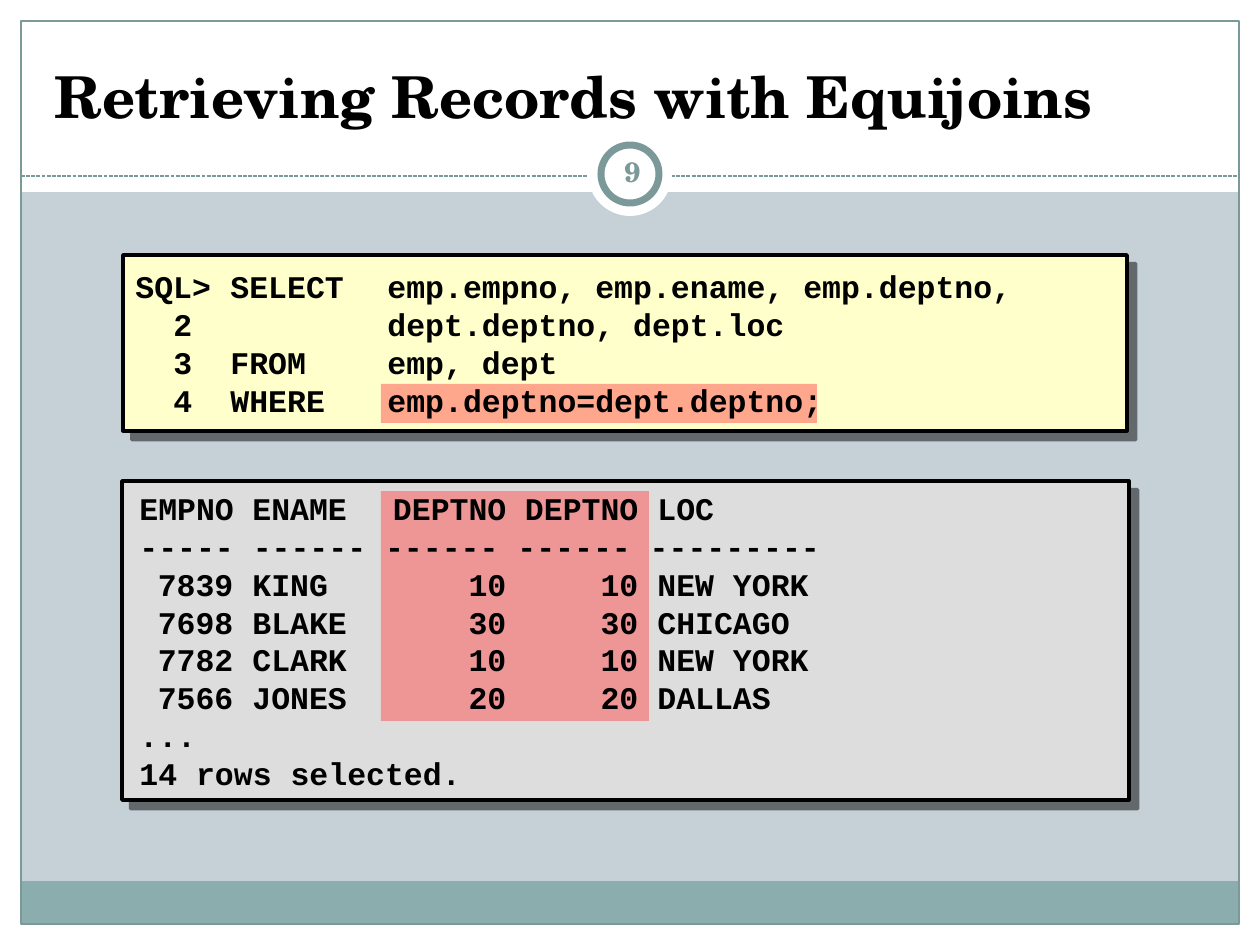
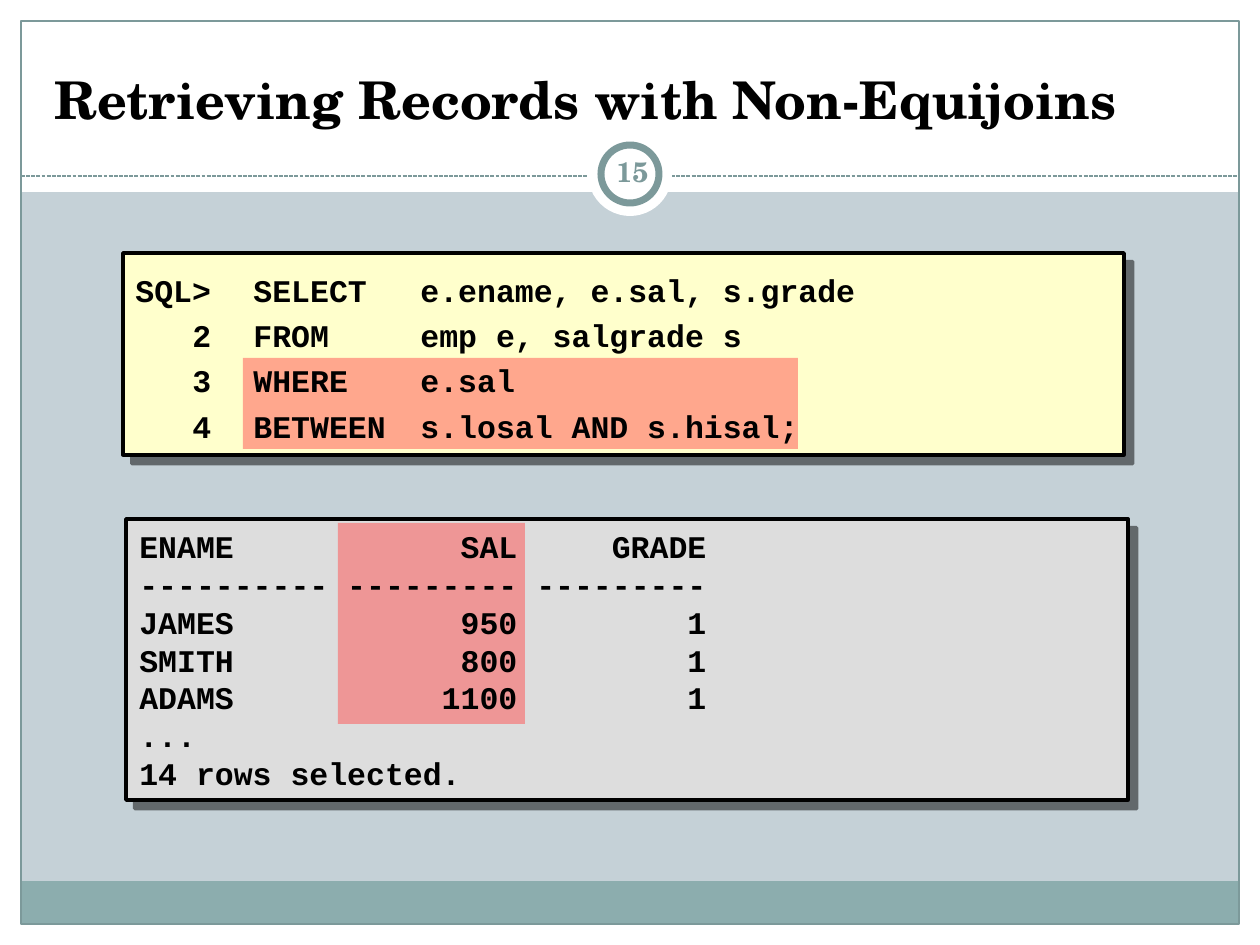
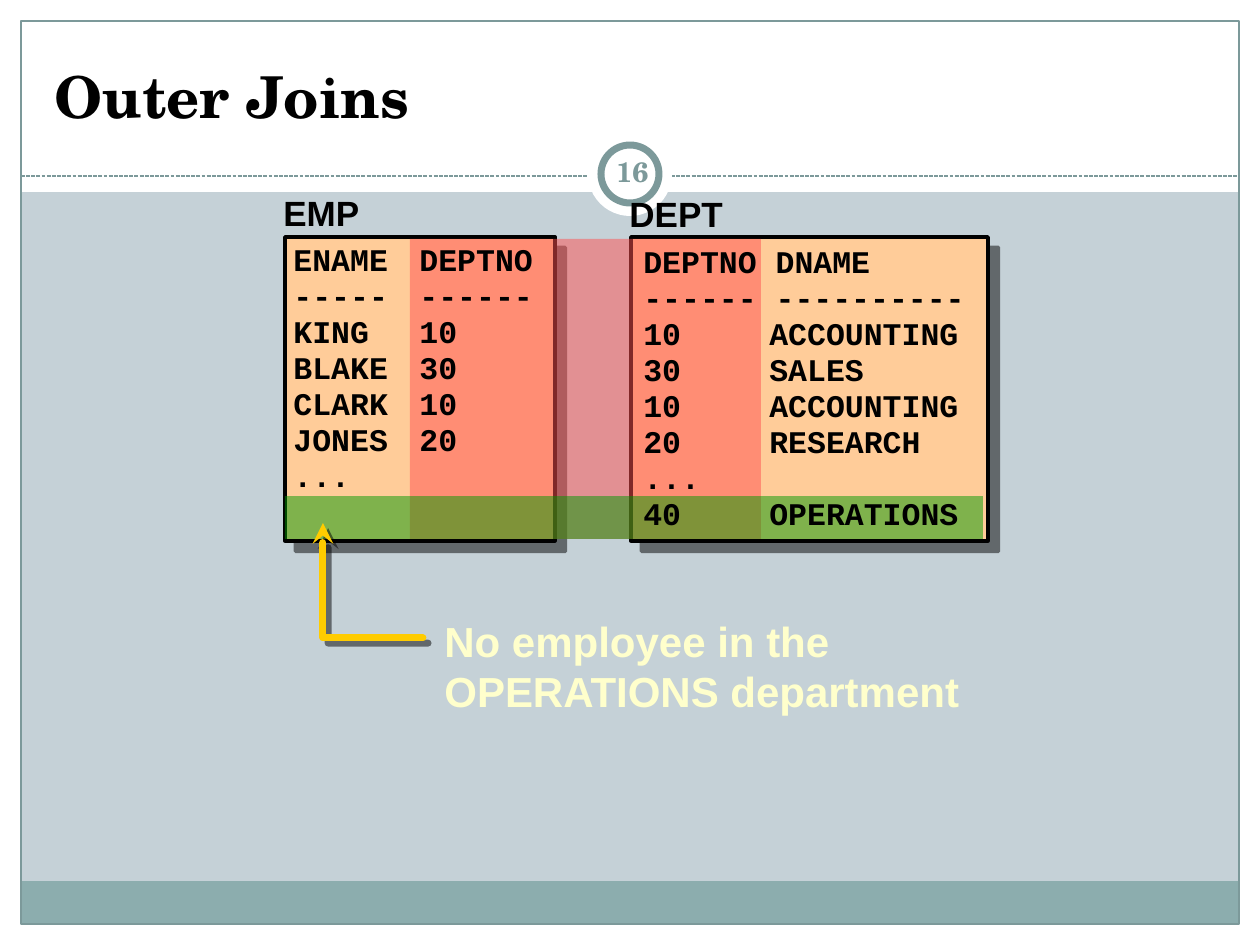
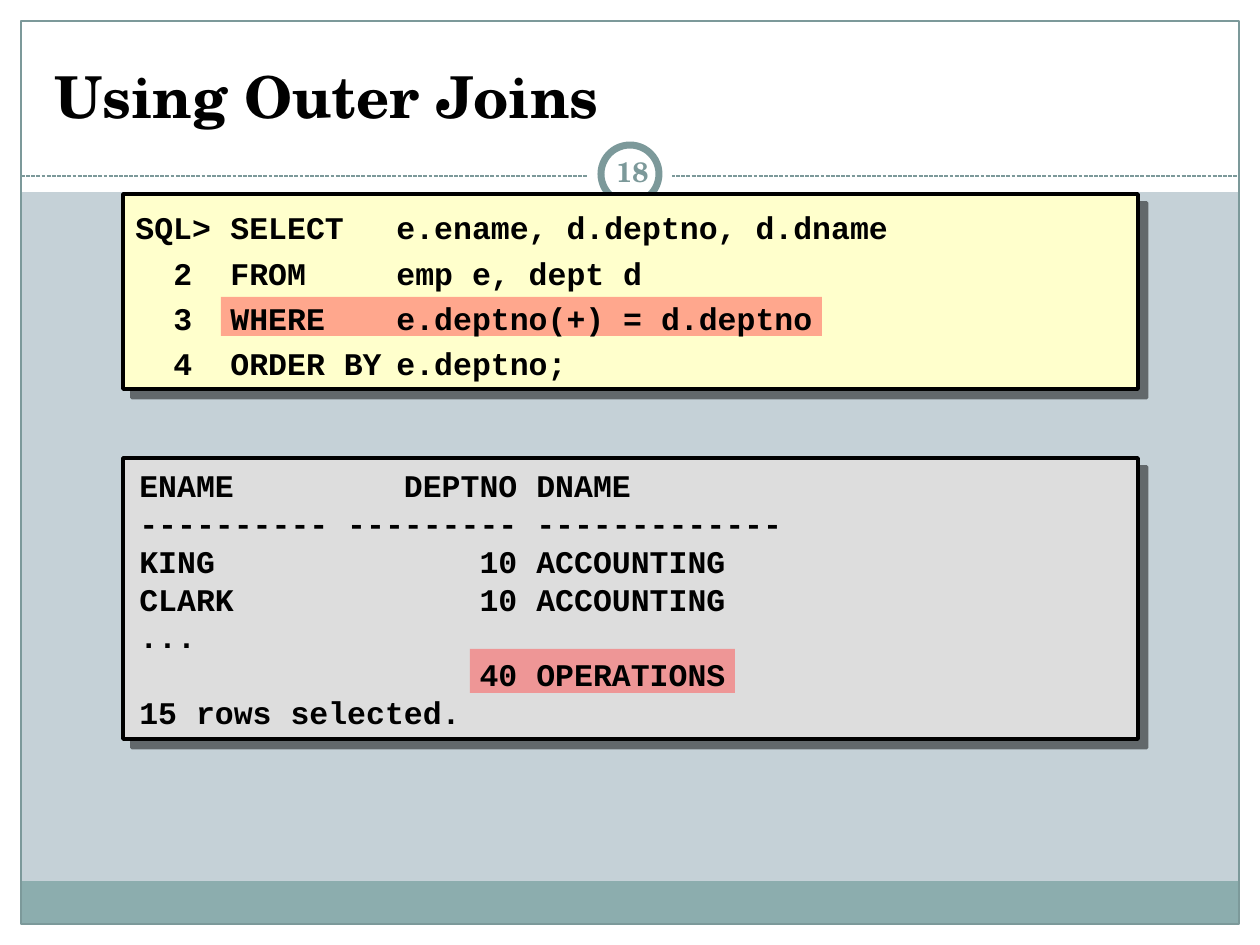
from lxml.etree import SubElement
from pptx import Presentation
from pptx.dml.color import RGBColor
from pptx.enum.dml import MSO_LINE
from pptx.enum.shapes import MSO_CONNECTOR, MSO_SHAPE
from pptx.enum.text import MSO_ANCHOR as ANCHOR, PP_ALIGN as ALIGN
from pptx.oxml.ns import qn
from pptx.util import Emu, Pt

WIDTH, HEIGHT = 1260, 945
EMU_PER_PX = 914400 / 126
MARGIN = 21
HEADER_BOTTOM = 192
PADDING = 12.6

SERIF, SANS, MONO = "TeX Gyre Schola", "Arial", "Courier New"
BLACK, WHITE = "000000", "FFFFFF"
BACKDROP, BAND, ACCENT = "C5D1D7", "8CADAE", "7C999A"
CODE_FILL, RESULT_FILL, TABLE_FILL = "FFFFCC", "DDDDDD", "FFCC99"
RED, GREEN, GOLD = "FF5050", "009900", "FFCC00"


def px(length):
    """Turn pixels into EMU."""
    return Emu(round(length * EMU_PER_PX))


def colour(hex_code):
    """Turn a hex string into a colour."""
    return RGBColor.from_string(hex_code)


def set_line(line, hex_code, width):
    """Colour a line and set its width in points."""
    line.color.rgb = colour(hex_code)
    line.width = Pt(width)


def set_shadow(shape, distance):
    """Give a shape a hard shadow to the lower right, or none at 0."""
    shape.shadow.inherit = False
    if distance:
        effects = shape._element.spPr.find(qn("a:effectLst"))
        shadow = SubElement(effects, qn("a:outerShdw"), blurRad="0",
                            dist=str(Pt(distance)), dir="2700000",
                            algn="ctr", rotWithShape="0")
        black = SubElement(shadow, qn("a:srgbClr"), val=BLACK)
        SubElement(black, qn("a:alpha"), val="50000")


def add_block(slide, box, fill=None, line=None, width=1, shadow=0,
              alpha=None, kind=MSO_SHAPE.RECTANGLE):
    """Draw a preset shape; box is left, top, width, height."""
    block = slide.shapes.add_shape(kind, *map(px, box))
    if fill:
        block.fill.solid()
        block.fill.fore_color.rgb = colour(fill)
        if alpha:
            tint = block._element.spPr.find(qn("a:solidFill"))[0]
            SubElement(tint, qn("a:alpha"), val=str(alpha * 1000))
    else:
        block.fill.background()
    if line:
        set_line(block.line, line, width)
    else:
        block.line.fill.background()
    set_shadow(block, shadow)


def add_text(slide, box, lines, size=18, font=MONO, ink=BLACK, bold=True,
             align=ALIGN.LEFT, anchor=ANCHOR.TOP, spacing=1.0, tabs=(),
             inset=PADDING):
    """Write one paragraph per line; tabs are (pixels, "l" or "r") pairs."""
    frame = slide.shapes.add_textbox(*map(px, box)).text_frame
    frame.word_wrap = True
    frame.vertical_anchor = anchor
    frame.margin_left = frame.margin_right = px(inset)
    frame.margin_top = frame.margin_bottom = px(PADDING / 2)
    for index, line in enumerate(lines):
        paragraph = frame.add_paragraph() if index else frame.paragraphs[0]
        paragraph.text = line
        paragraph.alignment = align
        paragraph.line_spacing = spacing
        if tabs:
            stops = SubElement(paragraph._p.get_or_add_pPr(), qn("a:tabLst"))
            for position, side in tabs:
                SubElement(stops, qn("a:tab"), pos=str(px(position)), algn=side)
        for run in paragraph.runs:
            run.font.name = font
            run.font.size = Pt(size)
            run.font.bold = bold
            run.font.color.rgb = colour(ink)


def add_highlight(slide, box, tint=RED):
    """Lay a half transparent marker over a region."""
    add_block(slide, box, tint, alpha=50)


def add_panel(slide, box, fill, shadow=7.1):
    """Draw a black-edged panel with a shadow."""
    add_block(slide, box, fill, BLACK, 2, shadow)


def add_code(slide, box, rows, columns, highlight, spacing=1.0):
    """Show numbered SQL lines; rows are (prompt, keyword, arguments)."""
    add_panel(slide, box, CODE_FILL)
    add_highlight(slide, highlight)
    lines = ["\t".join(row) if row[0] == "SQL>" else "\t" + "\t".join(row)
             for row in rows]
    add_text(slide, box, lines, anchor=ANCHOR.MIDDLE, spacing=spacing,
             tabs=[(column, "l") for column in columns])


def add_result(slide, box, lines, tabs, highlight):
    """Show the output of a query with its marked columns."""
    add_panel(slide, box, RESULT_FILL)
    add_highlight(slide, highlight)
    _, top, width, height = box
    add_text(slide, (127, top + 2, width - 4, height - 4), lines, tabs=tabs)


def add_arrow(slide, points):
    """Draw an angled gold arrow through the points."""
    start, *others = [(px(x), px(y)) for x, y in points]
    builder = slide.shapes.build_freeform(*start)
    builder.add_line_segments(others, close=False)
    arrow = builder.convert_to_shape()
    arrow.fill.background()
    set_line(arrow.line, GOLD, 4)
    line = arrow.line._get_or_add_ln()
    line.set("cap", "rnd")
    SubElement(line, qn("a:round"))
    SubElement(line, qn("a:tailEnd"), type="stealth")
    set_shadow(arrow, 4.2)


def add_frame(slide, number):
    """Draw the bands, border, divider and page badge."""
    edge = WIDTH - MARGIN
    for box in ((0, HEIGHT - MARGIN, WIDTH, MARGIN),
                (0, 0, WIDTH, HEADER_BOTTOM),
                (0, 0, MARGIN, HEIGHT),
                (edge, 0, MARGIN, HEIGHT)):
        add_block(slide, box, WHITE)
    add_block(slide, (MARGIN, 881, edge - MARGIN, 43), BAND)
    add_block(slide, (MARGIN, MARGIN, edge - MARGIN, HEIGHT - 2 * MARGIN),
              line=ACCENT, width=0.75)
    divider = slide.shapes.add_connector(
        MSO_CONNECTOR.STRAIGHT, px(MARGIN), px(176), px(edge), px(176))
    set_line(divider.line, ACCENT, 0.75)
    divider.line.dash_style = MSO_LINE.SQUARE_DOT
    SubElement(divider._element.spPr, qn("a:effectLst"))
    add_block(slide, (588, 132, 84, 84), WHITE, kind=MSO_SHAPE.OVAL)
    add_block(slide, (601, 145, 58, 58), WHITE, ACCENT, 4, kind=MSO_SHAPE.OVAL)
    add_text(slide, (601, 141, 63, 60), [str(number)], size=16, font=SERIF,
             ink=ACCENT, align=ALIGN.CENTER, anchor=ANCHOR.MIDDLE,
             inset=PADDING / 2)


def new_slide(deck, title, number, size=33):
    """Add a blank slide with the shared frame and a title."""
    slide = deck.slides.add_slide(deck.slide_layouts[6])
    add_frame(slide, number)
    add_text(slide, (42, 32, 1176, 104), [title], size=size, font=SERIF,
             anchor=ANCHOR.BOTTOM)
    return slide


def equijoins(deck):
    """Build the slide on equijoins."""
    slide = new_slide(deck, "Retrieving Records with Equijoins", 9)
    add_code(slide, (123, 255, 1004, 176), [
        ("SQL>", "SELECT", "emp.empno, emp.ename, emp.deptno,"),
        ("2", "", "dept.deptno, dept.loc"),
        ("3", "FROM", "emp, dept"),
        ("4", "WHERE", "emp.deptno=dept.deptno;"),
    ], (38, 95, 252), (381, 384, 436, 39))
    add_result(slide, (122, 481, 1007, 319), [
        "EMPNO\tENAME\tDEPTNO\tDEPTNO\tLOC",
        "----- ------ ------ ------ ---------",
        "\t7839\tKING\t10\t10\tNEW YORK",
        "\t7698\tBLAKE\t30\t30\tCHICAGO",
        "\t7782\tCLARK\t10\t10\tNEW YORK",
        "\t7566\tJONES\t20\t20\tDALLAS",
        "...",
        "14 rows selected.",
    ], ((94, "r"), (113, "l"), (367, "r"), (499, "r"), (518, "l")),
        (381, 491, 268, 230))


def non_equijoins(deck):
    """Build the slide on non-equijoins."""
    slide = new_slide(deck, "Retrieving Records with Non-Equijoins", 15, 29.7)
    add_code(slide, (123, 253, 1001, 202), [
        ("SQL>", "SELECT", "e.ename, e.sal, s.grade"),
        ("2", "FROM", "emp e, salgrade s"),
        ("3", "WHERE", "e.sal"),
        ("4", "BETWEEN", "s.losal AND s.hisal;"),
    ], (57, 118, 285), (243, 358, 555, 91), spacing=1.2)
    add_result(slide, (126, 519, 1002, 281), [
        "ENAME\tSAL\tGRADE",
        "---------- --------- ---------",
        "JAMES\t950\t1",
        "SMITH\t800\t1",
        "ADAMS\t1100\t1",
        "...",
        "14 rows selected.",
    ], ((378, "r"), (567, "r")), (338, 523, 187, 201))


def outer_joins(deck):
    """Build the slide on rows without a match."""
    slide = new_slide(deck, "Outer Joins", 16)
    add_panel(slide, (285, 237, 270, 304), TABLE_FILL, 8.5)
    add_panel(slide, (631, 237, 357, 304), TABLE_FILL, 8.5)
    for label, left, top in (("EMP", 271, 185), ("DEPT", 617, 186)):
        add_text(slide, (left, top, 128, 54), [label], size=20, font=SANS)
    add_highlight(slide, (410, 239, 351, 300))
    add_highlight(slide, (285, 496, 698, 43), GREEN)
    add_text(slide, (432, 609, 643, 113),
             ["No employee in the\vOPERATIONS department"],
             size=24, font=SANS, ink=CODE_FILL)
    add_arrow(slide, [(423, 638), (323, 638), (323, 523)])
    employees = ["ENAME\tDEPTNO", "-----\t------", "KING\t10", "BLAKE\t30",
                 "CLARK\t10", "JONES\t20", "..."]
    departments = ["DEPTNO DNAME", "------ ----------", "10\tACCOUNTING",
                   "30\tSALES", "10\tACCOUNTING", "20\tRESEARCH", "...",
                   "40\tOPERATIONS"]
    for box, lines in (((281, 237, 273, 300), employees),
                       ((631, 239, 353, 300), departments)):
        add_text(slide, box, lines, spacing=0.95, tabs=[(126, "l")])


def using_outer_joins(deck):
    """Build the slide on the outer join operator."""
    slide = new_slide(deck, "Using Outer Joins", 18)
    add_code(slide, (123, 194, 1015, 195), [
        ("SQL>", "SELECT", "e.ename, d.deptno, d.dname"),
        ("2", "FROM", "emp e, dept d"),
        ("3", "WHERE", "e.deptno(+) = d.deptno"),
        ("4", "ORDER BY", "e.deptno;"),
    ], (38, 95, 261), (221, 297, 601, 39), spacing=1.2)
    add_result(slide, (123, 458, 1015, 281), [
        "ENAME\tDEPTNO\tDNAME",
        "---------- --------- -------------",
        "KING\t10\tACCOUNTING",
        "CLARK\t10\tACCOUNTING",
        "...",
        "\t40\tOPERATIONS",
        "15 rows selected.",
    ], ((378, "r"), (397, "l")), (470, 649, 265, 44))


def main():
    """Build the deck and save it."""
    deck = Presentation()
    deck.slide_width, deck.slide_height = px(WIDTH), px(HEIGHT)
    backdrop = deck.slide_master.background.fill
    backdrop.solid()
    backdrop.fore_color.rgb = colour(BACKDROP)
    for build in (equijoins, non_equijoins, outer_joins, using_outer_joins):
        build(deck)
    deck.save("out.pptx")


main()
